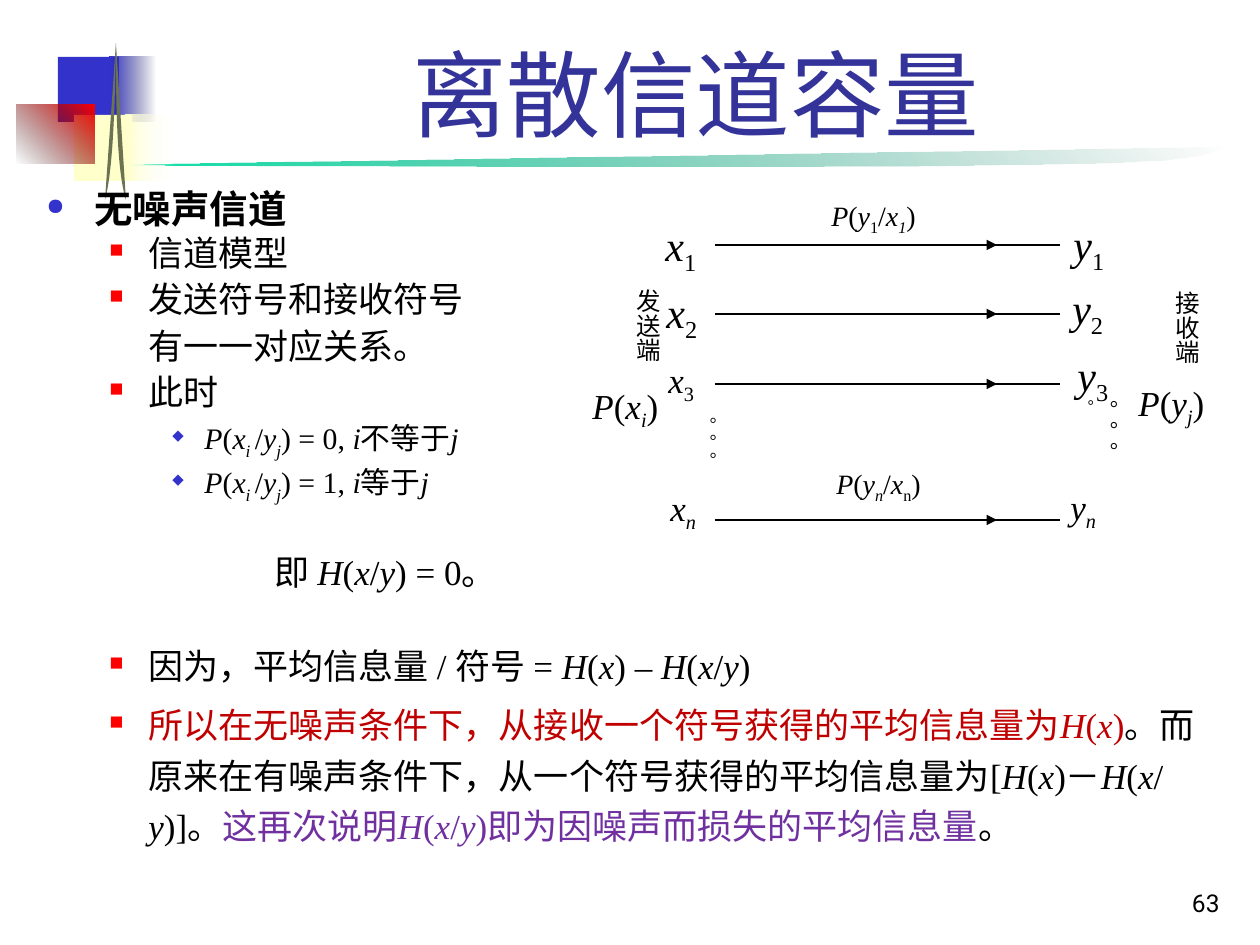
import pptx
import pptx.dml.color
import pptx.enum.shapes
import pptx.enum.text
import pptx.oxml.ns
import pptx.util
from lxml import etree

RGB = pptx.dml.color.RGBColor
Pt = pptx.util.Pt
ALIGN = pptx.enum.text.PP_ALIGN
ANCHOR = pptx.enum.text.MSO_ANCHOR
qn = pptx.oxml.ns.qn

SCALE = 914400 / 126  # EMU in one px
FONT = "Times New Roman"
BLACK = RGB(0x00, 0x00, 0x00)
WHITE = RGB(0xFF, 0xFF, 0xFF)
BLUE = RGB(0x33, 0x33, 0xCC)
NAVY = RGB(0x18, 0x18, 0x5E)
CREAM = RGB(0xFF, 0xFF, 0xCC)
RED = RGB(0xFF, 0x00, 0x00)
DARK = RGB(0x10, 0x00, 0x00)
GREEN = RGB(0x00, 0xE4, 0xA8)
PINE = RGB(0x00, 0x6A, 0x4E)
OLIVE = RGB(0x6C, 0x73, 0x51)
INDIGO = RGB(0x33, 0x33, 0x99)
BRICK = RGB(0xC0, 0x00, 0x00)
PURPLE = RGB(0x70, 0x30, 0xA0)

# Level: left margin and hang in px, size, bullet, its colour and percent
LEVELS = {
    "head": (48, -48, 22, "●", BLUE, 60),
    "item": (102, -39, 20, "■", RED, 55),
    "more": (102, 0, 20, None, None, None),
    "math": (158, -32, 17, "◆", BLUE, 50),
    "sum": (228, 0, 20, None, None, None),
}

# Level, text, line spacing, space before; *...* is italic, _..._ is subscript
BODY = [
    ("head", "无噪声信道", 0.8, 0),
    ("item", "信道模型", 0.8, 5),
    ("item", "发送符号和接收符号", 0.9, 5),
    ("more", "有一一对应关系。", 0.9, 5),
    ("item", "此时", 0.9, 5),
    ("math", "*P*(*x*_*i *_/*y*_*j*_) = 0, *i*不等于*j*", 0.9, 4.2),
    ("math", "*P*(*x*_*i *_/*y*_*j*_) = 1, *i*等于*j*", 0.9, 4.2),
    ("sum", "即 *H*(*x*/*y*) = 0。", 0.9, 31),
    ("item", "因为，平均信息量 / 符号 = *H*(*x*) – *H*(*x*/*y*)", 0.9, 32),
    ("item", [
        ("所以在无噪声条件下，从接收一个符号获得的平均信息量为*H*(*x*)", BRICK),
        ("。而原来在有噪声条件下，从一个符号获得的平均信息量为"
         "[*H*(*x*)－*H*(*x*/*y*)]。", BLACK),
        ("这再次说明*H*(*x*/*y*)即为因噪声而损失的平均信息量", PURPLE),
        ("。", BLACK)], 1.2, 5),
]

LABELS = [
    ((653, 213, 69, 60), "*x*_1_", 24),
    ((654, 280, 68, 62), "*x*_2_", 24),
    ((656, 352, 71, 60), "*x*_3_", 20),
    ((658, 480, 71, 63), "*x*_*n*_", 20),
    ((1061, 212, 69, 68), "*y*_1_", 24),
    ((1060, 276, 73, 73), "*y*_2_", 24),
    ((1065, 343, 63, 68), "*y*_3_", 24),
    ((1058, 479, 71, 64), "*y*_*n*_", 20),
    ((580, 378, 98, 73), "*P*(*x*_*i*_)", 20),
    ((1126, 375, 98, 73), "*P*(*y*_*j*_)", 20),
    ((819, 192, 123, 73), "*P*(*y*_1_/*x*_*1*_)", 16),
    ((824, 460, 123, 73), "*P*(*y*_*n*_/*x*_n_)", 16),
]

COLUMNS = [
    ((585, 276, 84, 111), [("发送端", 14, ALIGN.LEFT)]),
    ((1124, 278, 84, 120), [("接收端", 14, ALIGN.LEFT)]),
    ((655, 404, 69, 111), [("。。。", 10, ALIGN.CENTER)]),
    ((1057, 387, 69, 111), [("。。。", 12, ALIGN.CENTER),
                            ("。", 9, ALIGN.LEFT)]),
]


def px(n):
    return round(n * SCALE)


def blend(shape, angle, stops):
    """Fill with a two-stop gradient; each stop is colour and opacity."""
    shape.fill.gradient()
    shape.fill.gradient_angle = angle
    for stop, (color, alpha) in zip(shape.fill.gradient_stops, stops):
        stop.color.rgb = color
    nodes = shape._element.spPr.iter(qn("a:srgbClr"))
    for node, (color, alpha) in zip(nodes, stops):
        etree.SubElement(node, qn("a:alpha")).set("val", str(alpha * 1000))


def plain(shape, color=None):
    shape.shadow.inherit = False
    shape.line.fill.background()
    if color is not None:
        shape.fill.solid()
        shape.fill.fore_color.rgb = color
    return shape


def block(slide, box, color=None):
    kind = pptx.enum.shapes.MSO_SHAPE.RECTANGLE
    return plain(slide.shapes.add_shape(kind, *map(px, box)), color)


def curve(slide, start, arcs, color=None):
    """Closed outline through cubic arcs, each two handles and an end."""
    dots, a = [], start
    for b, c, d in arcs:
        for t in (k / 24 for k in range(1, 25)):
            u = 1 - t
            dots.append(tuple(
                px(u**3 * p + 3 * u * u * t * q + 3 * u * t * t * r + t**3 * s)
                for p, q, r, s in zip(a, b, c, d)))
        a = d
    pen = slide.shapes.build_freeform(*map(px, start))
    pen.add_line_segments(dots, close=True)
    return plain(pen.convert_to_shape(), color)


def frame(slide, box, anchor=ANCHOR.TOP):
    text = slide.shapes.add_textbox(*map(px, box)).text_frame
    text.word_wrap = True
    text.vertical_anchor = anchor
    return text


def style(para, size, color=BLACK, align=ALIGN.LEFT, face=FONT):
    para.alignment = align
    para.font.name = face
    para.font.size = Pt(size)
    if color is not None:
        para.font.color.rgb = color


def write(para, text, color=None):
    """Add runs, with * switching italic and _ switching subscript."""
    def flush():
        if part:
            run = para.add_run()
            run.text = part
            if slant:
                run.font.italic = True
            if color is not None:
                run.font.color.rgb = color
            if low:
                run._r.get_or_add_rPr().set("baseline", "-25000")

    part, slant, low = "", False, False
    for char in text:
        if char in "*_":
            flush()
            part = ""
            slant ^= char == "*"
            low ^= char == "_"
        else:
            part += char
    flush()


def bullet(para, left, hang, mark, color, pct):
    prop = para._p.get_or_add_pPr()
    prop.set("marL", str(px(left)))
    prop.set("indent", str(px(hang)))
    if mark:
        tint = etree.SubElement(prop, qn("a:buClr"))
        etree.SubElement(tint, qn("a:srgbClr")).set("val", str(color))
        etree.SubElement(prop, qn("a:buSzPct")).set("val", str(pct * 1000))
        etree.SubElement(prop, qn("a:buChar")).set("char", mark)


def label(slide, box, text, size, color=BLACK, align=ALIGN.LEFT,
          anchor=ANCHOR.TOP, face=FONT):
    para = frame(slide, box, anchor).paragraphs[0]
    style(para, size, color, align, face)
    write(para, text)


def column(slide, box, rows):
    text = frame(slide, box)
    text._txBody.bodyPr.set("vert", "eaVert")
    text.margin_left = text.margin_right = px(6)
    text.margin_top = text.margin_bottom = px(13)
    for i, (words, size, align) in enumerate(rows):
        para = text.add_paragraph() if i else text.paragraphs[0]
        style(para, size, align=align)
        write(para, words)


def line(slide, x1, y1, x2, y2, arrow=False):
    kind = pptx.enum.shapes.MSO_CONNECTOR.STRAIGHT
    link = slide.shapes.add_connector(kind, *map(px, (x1, y1, x2, y2)))
    link.line.color.rgb = BLACK
    link.line.width = Pt(0.75)
    if arrow:
        tip = etree.SubElement(link.line._get_or_add_ln(), qn("a:tailEnd"))
        tip.set("type", "triangle")
    etree.SubElement(link._element.spPr, qn("a:effectLst"))


def decor(slide):
    swoosh = curve(slide, (73, 165), [
        ((440, 166), (805, 169), (998, 165)),
        ((1189, 163), (1194, 159), (1229, 147))])
    blend(swoosh, 45, [(GREEN, 100), (PINE, 0)])
    block(slide, (58, 57, 61, 65), BLUE)
    blend(block(slide, (110, 57, 46, 65)), 0, [(BLUE, 100), (NAVY, 0)])
    block(slide, (74, 115, 58, 66), CREAM)
    blend(block(slide, (126, 115, 50, 66)), 0, [(CREAM, 100), (WHITE, 0)])
    blend(block(slide, (17, 105, 78, 59)), 45, [(DARK, 0), (RED, 100)])
    for arc in [((115, 107), (113, 171), (105, 200)),
                ((116, 107), (117, 171), (126, 200))]:
        curve(slide, (116, 43), [arc], OLIVE)


def body(slide):
    text = frame(slide, (34, 188, 1201, 757))
    for i, (level, words, gap, before) in enumerate(BODY):
        para = text.add_paragraph() if i else text.paragraphs[0]
        left, hang, size, *mark = LEVELS[level]
        bullet(para, left, hang, *mark)
        para.line_spacing = gap
        if before:
            para.space_before = Pt(before)
        mixed = isinstance(words, list)
        style(para, size, None if mixed else BLACK)
        para.font.bold = level == "head"
        for part, color in words if mixed else [(words, None)]:
            write(para, part, color)


def model(slide):
    for y in (245, 314, 384, 520):
        line(slide, 715, y, 997, y, arrow=True)
        line(slide, 990, y, 1060, y)
    for item in LABELS:
        label(slide, *item)
    for item in COLUMNS:
        column(slide, *item)


def main():
    deck = pptx.Presentation()
    deck.slide_width, deck.slide_height = px(1260), px(945)
    slide = deck.slides.add_slide(deck.slide_layouts[6])
    decor(slide)
    label(slide, (970, 861, 262, 63), "63", 14, align=ALIGN.RIGHT,
          anchor=ANCHOR.BOTTOM, face="Roboto")
    label(slide, (159, 29, 1074, 127), "离散信道容量", 54, INDIGO,
          ALIGN.CENTER, ANCHOR.BOTTOM)
    body(slide)
    model(slide)
    deck.save("out.pptx")


if __name__ == "__main__":
    main()
